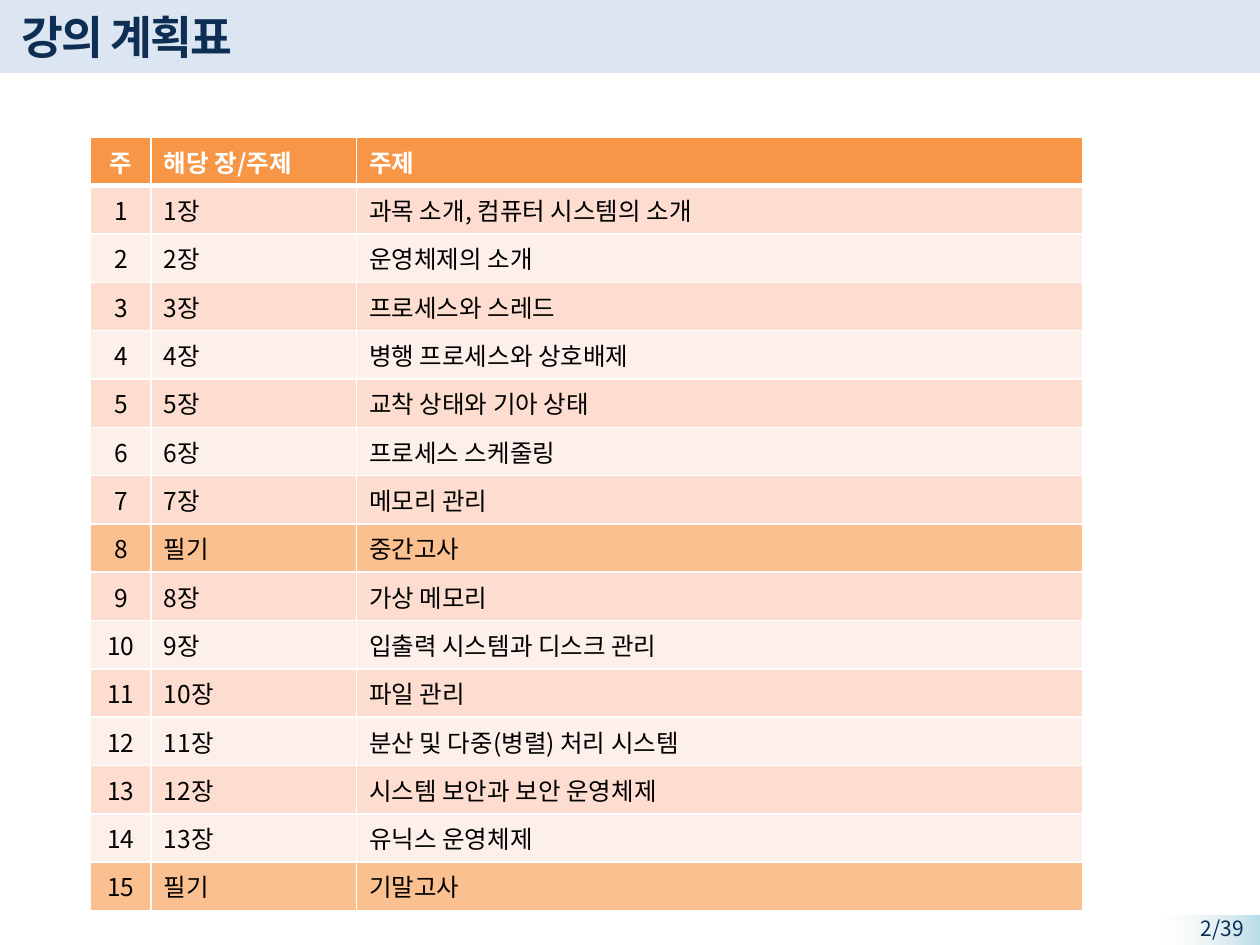
from lxml import etree
from pptx import Presentation
from pptx import util as u
from pptx.dml.color import RGBColor
from pptx.enum import shapes, text
from pptx.oxml.ns import qn

# Content
TITLE = "강의 계획표"
PAGE = "2/39"
HEADER = ("주", "해당 장/주제", "주제")
EXAM = "필기"
WEEKS = [
    ("1장", "과목 소개, 컴퓨터 시스템의 소개"),
    ("2장", "운영체제의 소개"),
    ("3장", "프로세스와 스레드"),
    ("4장", "병행 프로세스와 상호배제"),
    ("5장", "교착 상태와 기아 상태"),
    ("6장", "프로세스 스케줄링"),
    ("7장", "메모리 관리"),
    (EXAM, "중간고사"),
    ("8장", "가상 메모리"),
    ("9장", "입출력 시스템과 디스크 관리"),
    ("10장", "파일 관리"),
    ("11장", "분산 및 다중(병렬) 처리 시스템"),
    ("12장", "시스템 보안과 보안 운영체제"),
    ("13장", "유닉스 운영체제"),
    (EXAM, "기말고사"),
]

# Style
FONT = "Noto Sans CJK KR"
NAVY = RGBColor(0x0F, 0x2E, 0x53)
WHITE = RGBColor(0xFF, 0xFF, 0xFF)
BLACK = RGBColor(0, 0, 0)
BAND = RGBColor(0xDC, 0xE6, 0xF2)
AQUA = RGBColor(0xB7, 0xDE, 0xE8)
GRAY = RGBColor(0xF2, 0xF2, 0xF2)
ORANGE = RGBColor(0xF7, 0x96, 0x46)
EXAM_FILL = RGBColor(0xFA, 0xC0, 0x90)
STRIPES = (RGBColor(0xFC, 0xDD, 0xCF), RGBColor(0xFD, 0xEF, 0xE9))
COLUMNS = (0.48, 1.63, 5.76)
TABLE_HEIGHT = 6.14


def inches(*lengths):
    return [u.Inches(length) for length in lengths]


def write(frame, words, size, color, bold=False, align=text.PP_ALIGN.LEFT):
    paragraph = frame.paragraphs[0]
    paragraph.alignment = align
    run = paragraph.add_run()
    run.text = words
    font = run.font
    font.name, font.size, font.bold = FONT, u.Pt(size), bold
    font.color.rgb = color
    properties = run._r.get_or_add_rPr()
    properties.set("kern", "0")
    etree.SubElement(properties, qn("a:ea"), typeface=FONT)
    return properties


def add_rectangle(slide, *box):
    shape = slide.shapes.add_shape(shapes.MSO_SHAPE.RECTANGLE, *inches(*box))
    shape.shadow.inherit = False
    shape.line.fill.background()
    return shape


def set_borders(cell, bottom):
    properties = cell._tc.get_or_add_tcPr()
    widths = {"a:lnL": 1, "a:lnR": 1, "a:lnT": 1, "a:lnB": bottom}
    for position, (tag, width) in enumerate(widths.items()):
        line = etree.Element(qn(tag), w=str(u.Pt(width)))
        fill = etree.SubElement(line, qn("a:solidFill"))
        etree.SubElement(fill, qn("a:srgbClr"), val=str(WHITE))
        properties.insert(position, line)


def add_schedule(slide):
    rows = [HEADER] + [(str(week), *row) for week, row in enumerate(WEEKS, 1)]
    box = inches(0.72, 1.09, sum(COLUMNS), TABLE_HEIGHT)
    table = slide.shapes.add_table(len(rows), len(COLUMNS), *box).table
    for column, width in zip(table.columns, COLUMNS):
        column.width = u.Inches(width)
    for r, row in enumerate(rows):
        table.rows[r].height = u.Inches(TABLE_HEIGHT / len(rows))
        header = r == 0
        if header:
            fill = ORANGE
        else:
            fill = EXAM_FILL if row[1] == EXAM else STRIPES[(r - 1) % 2]
        for c, words in enumerate(row):
            cell = table.cell(r, c)
            cell.fill.solid()
            cell.fill.fore_color.rgb = fill
            set_borders(cell, 3 if header else 1)
            write(cell.text_frame, words, 14, WHITE if header else BLACK, header,
                  text.PP_ALIGN.LEFT if c else text.PP_ALIGN.CENTER)


def main():
    presentation = Presentation()
    presentation.slide_width, presentation.slide_height = inches(10, 7.5)
    slide = presentation.slides.add_slide(presentation.slide_layouts[5])

    # Title band, behind the title
    band = add_rectangle(slide, 0, -0.02, 10, 0.6)
    band.fill.solid()
    band.fill.fore_color.rgb = BAND
    slide.shapes._spTree.insert(2, band._element)

    # Title
    title = slide.shapes.title
    title.left, title.top, title.width, title.height = inches(0.07, 0.03, 8.51, 0.52)
    title.text_frame.vertical_anchor = text.MSO_ANCHOR.MIDDLE
    write(title.text_frame, TITLE, 26, NAVY, True).set("spc", "-100")

    # Page number on a fading corner
    corner = add_rectangle(slide, 9.2, 7.27, 0.8, 0.24)
    corner.fill.gradient()
    corner.fill.gradient_angle = 180
    for stop, color, position in zip(corner.fill.gradient_stops, (AQUA, GRAY), (0, 1)):
        stop.color.rgb, stop.position = color, position
    faded = corner._element.findall(".//" + qn("a:gs"))[-1][0]
    etree.SubElement(faded, qn("a:alpha"), val="0")
    number = slide.shapes.add_textbox(*inches(9.05, 7.22, 0.92, 0.23))
    number.text_frame.word_wrap = True
    write(number.text_frame, PAGE, 12, NAVY, align=text.PP_ALIGN.RIGHT)

    add_schedule(slide)
    presentation.save("out.pptx")


if __name__ == "__main__":
    main()
